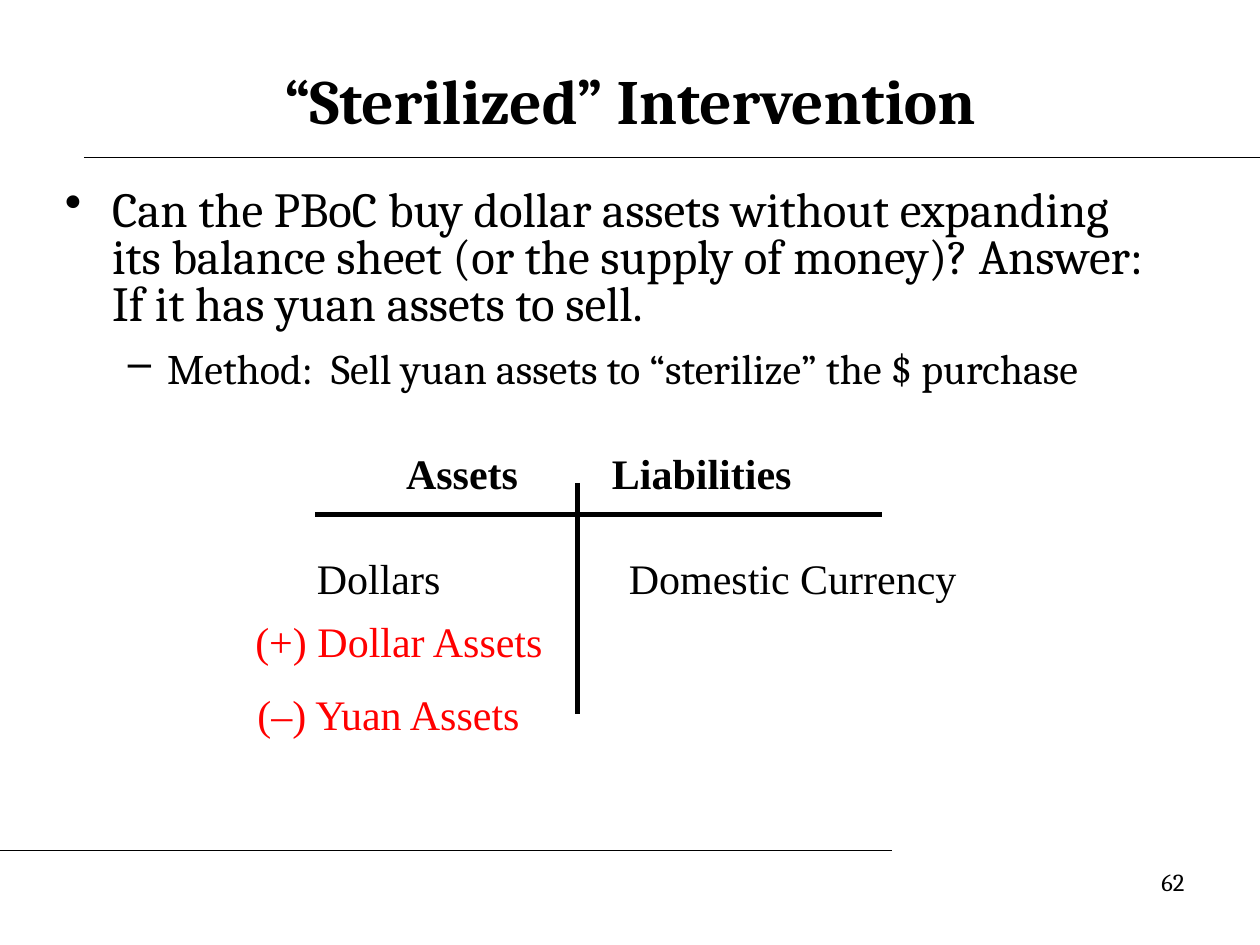
from lxml import etree
from pptx import Presentation
from pptx.dml.color import RGBColor
from pptx.enum.shapes import MSO_CONNECTOR
from pptx.enum.text import MSO_ANCHOR, PP_ALIGN
from pptx.oxml.ns import qn
from pptx.util import Pt

LEFT, CENTER, RIGHT = PP_ALIGN.LEFT, PP_ALIGN.CENTER, PP_ALIGN.RIGHT
TOP, MIDDLE = MSO_ANCHOR.TOP, MSO_ANCHOR.MIDDLE
STRAIGHT = MSO_CONNECTOR.STRAIGHT

BLACK, RED = "000000", "FF0000"
SLIDE_FONT, ACCOUNT_FONT = "Cambria", "Times New Roman"


def color(hex_value):
    return RGBColor.from_string(hex_value)


class SlideBuilder:
    """Holds the text style and the slide; all lengths are in points."""

    def __init__(self, slide, font, ink):
        self.slide = slide
        self.font = font
        self.ink = ink

    def line(self, x1, y1, x2, y2, weight=0.75):
        connector = self.slide.shapes.add_connector(
            STRAIGHT, Pt(x1), Pt(y1), Pt(x2), Pt(y2))
        connector.line.color.rgb = color(self.ink)
        connector.line.width = Pt(weight)
        etree.SubElement(connector._element.spPr, qn("a:effectLst"))

    def frame(self, left, top, width, height, anchor=TOP):
        box = self.slide.shapes.add_textbox(
            Pt(left), Pt(top), Pt(width), Pt(height))
        box.text_frame.word_wrap = True
        box.text_frame.vertical_anchor = anchor
        return box.text_frame

    def run(self, paragraph, text, size, bold=False, ink=None, font=None):
        run = paragraph.add_run()
        run.text = text
        run.font.size = Pt(size)
        run.font.bold = bold
        run.font.name = font or self.font
        run.font.color.rgb = color(ink or self.ink)

    def text(self, left, top, width, height, text, size,
             align=LEFT, anchor=TOP, **style):
        paragraph = self.frame(left, top, width, height, anchor).paragraphs[0]
        paragraph.alignment = align
        self.run(paragraph, text, size, **style)

    def account_text(self, left, top, width, text, align=CENTER, **style):
        self.text(left, top, width, 36, text, 24, align,
                  font=ACCOUNT_FONT, **style)

    def bullets(self, left, top, width, height, items):
        """Each item is (text, size, level, bullet, margin, hanging indent)."""
        frame = self.frame(left, top, width, height)
        for index, (text, size, level, bullet, margin, hanging) in enumerate(items):
            paragraph = frame.add_paragraph() if index else frame.paragraphs[0]
            properties = paragraph._p.get_or_add_pPr()
            properties.set("marL", str(Pt(margin)))
            properties.set("indent", str(-Pt(hanging)))
            etree.SubElement(properties, qn("a:buChar"), char=bullet)
            paragraph.level = level
            paragraph.line_spacing = 0.8
            if index:
                paragraph.space_before = Pt(size / 2)
            self.run(paragraph, text, size)


def main():
    presentation = Presentation()
    presentation.slide_width, presentation.slide_height = Pt(720), Pt(540)
    slide = presentation.slides.add_slide(presentation.slide_layouts[6])
    builder = SlideBuilder(slide, SLIDE_FONT, BLACK)

    # Title and rules
    builder.text(36, 24, 648, 66, "“Sterilized” Intervention", 36,
                 CENTER, MIDDLE, bold=True)
    for start in (48, 90):
        builder.line(start, 90, 720, 90)
    builder.line(0, 486, 510, 486)

    builder.bullets(30, 105, 642, 375, [
        ("Can the PBoC buy dollar assets without expanding its balance sheet "
         "(or the supply of money)? Answer: If it has yuan assets to sell.",
         28, 0, "•", 27, 27),
        ("Method:  Sell yuan assets to “sterilize” the $ purchase",
         24, 1, "–", 58.5, 22.5),
    ])

    # T-account
    builder.line(330, 276, 330, 408, 3)
    builder.line(180, 294, 504, 294, 3)
    builder.account_text(204, 252, 120, "Assets", bold=True)
    builder.account_text(331, 252, 140, "Liabilities", bold=True)
    builder.account_text(174, 312, 150, "Dollars", LEFT)
    builder.account_text(312, 312, 282, "Domestic Currency")
    builder.account_text(120, 348, 216, "(+) Dollar Assets", ink=RED)
    builder.account_text(99, 390, 246, "(–) Yuan Assets", ink=RED)

    builder.text(516, 492, 168, 37.5, "62", 14, RIGHT)
    presentation.save("out.pptx")


if __name__ == "__main__":
    main()
